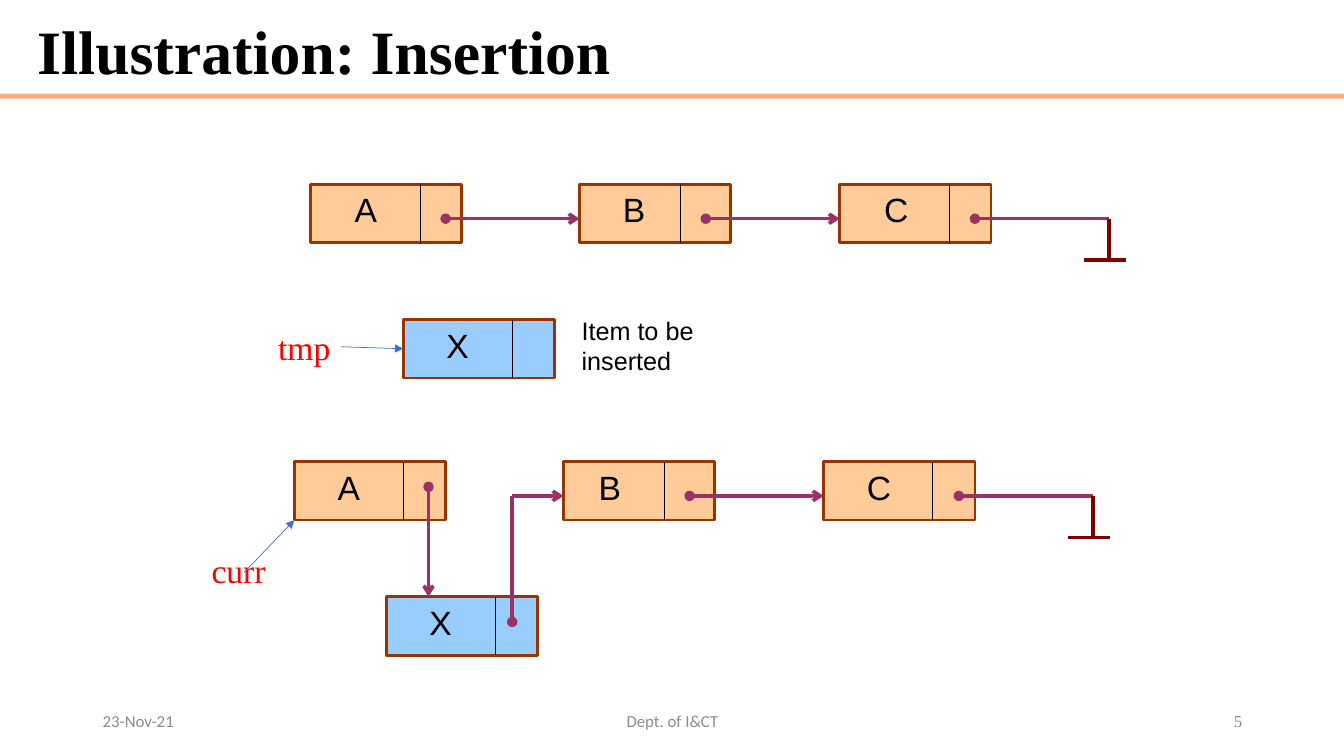
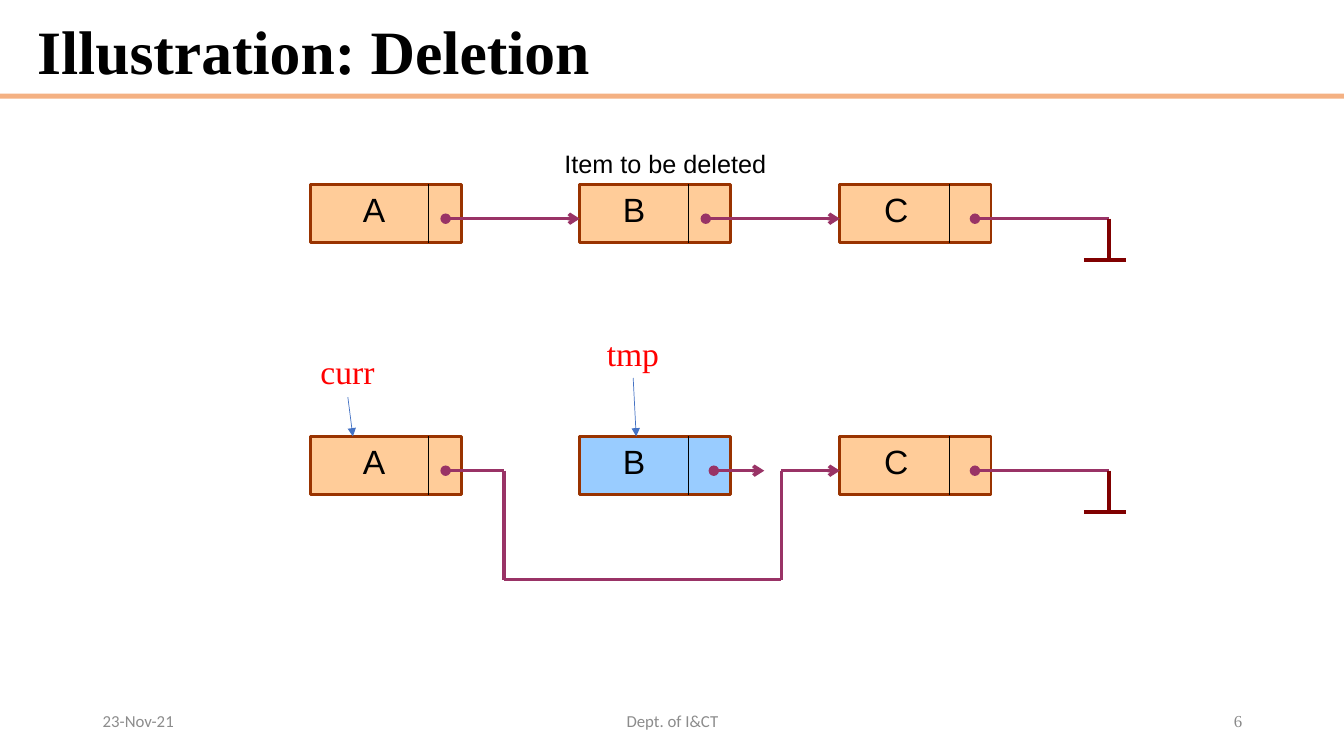
from itertools import pairwise

from lxml.etree import SubElement
from pptx import Presentation
from pptx.dml.color import RGBColor
from pptx.enum.shapes import MSO_CONNECTOR, MSO_SHAPE
from pptx.enum.text import MSO_ANCHOR, PP_ALIGN
from pptx.oxml.ns import qn
from pptx.util import Inches, Pt

COLORS = {
    "band": "F4B183", "text": "000000", "footer": "8C8C8C", "number": "898989",
    "node": "FFCC99", "marked": "99CCFF", "border": "993300", "link": "993366",
    "ground": "800000", "pointer": "FF0000", "arrow": "4472C4",
}
SERIF, SANS, FOOTER_FONT = "Times New Roman", "Arial", "Calibri"
NODE_WIDTH, NODE_HEIGHT = 1.5, 0.58
LINK_DROP = 0.34
NODE_OFFSETS = (0, 2.67, 5.25)
LINK_STARTS = (1.34, 1.25)
TAIL_START, TAIL_LENGTH = 1.34, 1.33


def color(name):
    """Return the named colour."""
    return RGBColor.from_string(COLORS[name])


def add_text(slide, box, text, size, font=SANS, fill="text", bold=False,
             align=PP_ALIGN.LEFT, anchor=MSO_ANCHOR.TOP, wrap=True):
    """Add a one-paragraph text box."""
    shape = slide.shapes.add_textbox(*map(Inches, box))
    frame = shape.text_frame
    frame.word_wrap = wrap
    frame.vertical_anchor = anchor
    frame.text = text
    paragraph = frame.paragraphs[0]
    paragraph.alignment = align
    paragraph.font.size = Pt(size)
    paragraph.font.name = font
    paragraph.font.bold = bold
    paragraph.font.color.rgb = color(fill)
    return paragraph


def add_box(slide, box, fill, border=None):
    """Add a flat rectangle."""
    shape = slide.shapes.add_shape(MSO_SHAPE.RECTANGLE, *map(Inches, box))
    shape.shadow.inherit = False
    shape.fill.solid()
    shape.fill.fore_color.rgb = color(fill)
    if border:
        shape.line.color.rgb = color(border)
        shape.line.width = Pt(2)
    else:
        shape.line.fill.background()
    return shape


def add_line(slide, start, end, fill, width, head=None, tail=None):
    """Add a straight connector with optional ends."""
    line = slide.shapes.add_connector(
        MSO_CONNECTOR.STRAIGHT, *map(Inches, (*start, *end)))
    line.line.color.rgb = color(fill)
    line.line.width = Pt(width)
    outline = line.line._get_or_add_ln()
    for tag, kind in (("a:headEnd", head), ("a:tailEnd", tail)):
        if kind:
            SubElement(outline, qn(tag), type=kind)
    SubElement(line._element.spPr, qn("a:effectLst"))
    return line


def add_link(slide, points, tail="arrow"):
    """Draw a list link through the points, starting with a dot."""
    segments = list(pairwise(points))
    for index, (start, end) in enumerate(segments):
        add_line(slide, start, end, "link", 2.5,
                 head="oval" if index == 0 else None,
                 tail=tail if index == len(segments) - 1 else None)


def add_node(slide, left, top, label, divider=1.08, label_offset=0.33, fill="node"):
    """Add a list node: value cell, divider and link cell."""
    shape = add_box(slide, (left, top, NODE_WIDTH, NODE_HEIGHT), fill, "border")
    add_line(slide, (left + divider, top), (left + divider, top + NODE_HEIGHT),
             "text", 0.75)
    add_text(slide, (left + label_offset, top, 0.67, 0.5), label, 24)
    return shape


def add_ground(slide, left, top):
    """Draw the end-of-list mark hanging from a point."""
    bottom = top + 0.41
    add_line(slide, (left, top), (left, bottom), "ground", 2.5)
    add_line(slide, (left - 0.25, bottom), (left + 0.17, bottom), "ground", 2.5)


def add_list(slide, left, top, dividers, label_offsets, links=(0, 1), second_fill="node"):
    """Add the list A, B, C with the chosen links and its end mark."""
    lefts = [left + offset for offset in NODE_OFFSETS]
    fills = ("node", second_fill, "node")
    for node in zip(lefts, "ABC", dividers, label_offsets, fills):
        node_left, *style = node
        add_node(slide, node_left, top, *style)
    level = top + LINK_DROP
    for index in links:
        add_link(slide, [(lefts[index] + LINK_STARTS[index], level),
                         (lefts[index + 1], level)])
    tail_left = lefts[2] + TAIL_START
    add_link(slide, [(tail_left, level), (tail_left + TAIL_LENGTH, level)], tail=None)
    add_ground(slide, tail_left + TAIL_LENGTH, level)


def add_pointer(slide, left, top, name, start, end):
    """Add a named pointer and its arrow, placed from the label's corner."""
    add_text(slide, (left, top, 0.74, 0.5), name, 24, SERIF, "pointer", wrap=False)
    return add_line(slide, (left + start[0], top + start[1]),
                    (left + end[0], top + end[1]), "arrow", 0.5, tail="triangle")


def add_slide(presentation, title, number):
    """Add a slide with title, band and footer."""
    slide = presentation.slides.add_slide(presentation.slide_layouts[6])
    add_box(slide, (0, 0.93, 13.33, 0.05), "band")
    heading = add_text(slide, (0.27, 0.15, 12.15, 0.79), title, 44, SERIF,
                       bold=True, anchor=MSO_ANCHOR.MIDDLE)
    heading.line_spacing = 0.9
    footers = (
        (0.92, 3, "23-Nov-21", FOOTER_FONT, "footer", PP_ALIGN.LEFT),
        (4.42, 4.5, "Dept. of I&CT", FOOTER_FONT, "footer", PP_ALIGN.CENTER),
        (9.42, 3, str(number), SERIF, "number", PP_ALIGN.RIGHT),
    )
    for left, width, text, font, fill, align in footers:
        add_text(slide, (left, 6.95, width, 0.4), text, 12, font, fill,
                 align=align, anchor=MSO_ANCHOR.MIDDLE)
    return slide


def add_new_item(slide, left, top):
    """Add the item waiting for insertion with its pointer and caption."""
    node = add_node(slide, left, top, "X", fill="marked")
    add_text(slide, (left + 1.67, top - 0.09, 1.83, 0.7), "Item to be inserted", 18)
    arrow = add_pointer(slide, left - 1.34, top + 0.02, "tmp", (0.72, 0.25), (1.34, 0.27))
    arrow.end_connect(node, 1)


def add_inserted_list(slide, left, top):
    """Add the list with X linked between A and B."""
    add_list(slide, left, top, (1.08, 1, 1.08), (0.33, 0.25, 0.33), links=(1,))
    item_left, item_top = left + 0.91, top + 1.34
    add_node(slide, item_left, item_top, "X", fill="marked")
    add_link(slide, [(left + 1.33, top + 0.25), (left + 1.33, item_top)])
    turn, level = item_left + 1.25, top + LINK_DROP
    add_link(slide, [(turn, item_top + 0.25), (turn, level),
                     (left + NODE_OFFSETS[1], level)])
    add_pointer(slide, left - 0.92, top + 0.83, "curr", (0.42, 0.27), (0.92, -0.25))


def add_deleted_list(slide, left, top):
    """Add the list with A linked around B to C."""
    add_list(slide, left, top, (1.17, 1.08, 1.09), (0.42, 0.33, 0.34),
             links=(), second_fill="marked")
    level, bottom = top + LINK_DROP, top + 1.42
    down, up = left + 1.92, left + 4.67
    add_link(slide, [(left + LINK_STARTS[0], level), (down, level), (down, bottom),
                     (up, bottom), (up, level), (left + NODE_OFFSETS[2], level)])
    add_link(slide, [(left + 4, level), (left + 4.5, level)])
    add_pointer(slide, left, top - 0.9, "curr", (0.37, 0.51), (0.42, 0.9))
    add_pointer(slide, left + 2.84, top - 1.08, "tmp", (0.36, 0.5), (0.39, 1.08))


def add_insertion_slide(presentation):
    """Build the insertion slide."""
    slide = add_slide(presentation, "Illustration: Insertion", 5)
    add_list(slide, 3.08, 1.83, (1.09, 1, 1.09), (0.34, 0.33, 0.34))
    add_new_item(slide, 4, 3.17)
    add_inserted_list(slide, 2.92, 4.58)


def add_deletion_slide(presentation):
    """Build the deletion slide."""
    slide = add_slide(presentation, "Illustration: Deletion", 6)
    add_list(slide, 3.08, 1.83, (1.17, 1.08, 1.09), (0.42, 0.33, 0.34))
    add_text(slide, (5.5, 1.42, 2.75, 0.4), "Item to be deleted", 18)
    add_deleted_list(slide, 3.08, 4.33)


def main():
    """Build and save the presentation."""
    presentation = Presentation()
    presentation.slide_width = Inches(13.33)
    presentation.slide_height = Inches(7.5)
    add_insertion_slide(presentation)
    add_deletion_slide(presentation)
    presentation.save("out.pptx")


if __name__ == "__main__":
    main()
